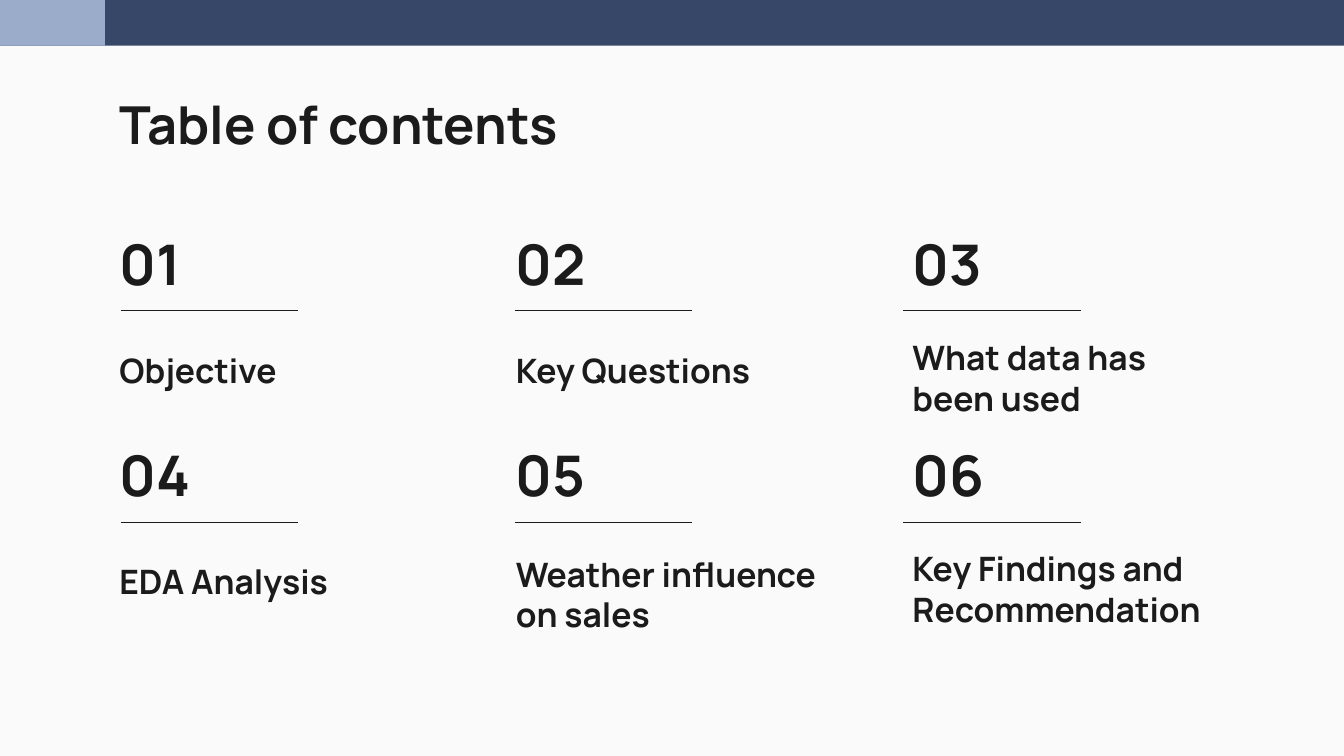
from lxml.etree import SubElement
from pptx import Presentation
from pptx.dml.color import RGBColor
from pptx.enum.shapes import MSO_CONNECTOR as Connector, MSO_SHAPE as Shape
from pptx.enum.text import MSO_ANCHOR as Anchor
from pptx.oxml.ns import qn
from pptx.util import Inches, Pt

PAPER = RGBColor(0xFA, 0xFA, 0xFA)
NAVY = RGBColor(0x37, 0x47, 0x68)
SKY = RGBColor(0x9B, 0xAC, 0xCA)
INK = RGBColor(0x1B, 0x1B, 0x1B)

COLUMNS = [(0.79, 0.9), (3.74, 3.83), (6.69, 6.72)]
NUMBER_TOPS = [1.76, 3.33]
RULE_TOPS = [2.31, 3.89]
TOPICS = [
    ("Objective", 2.52, 0.49),
    ("Key Questions", 2.52, 0.49),
    ("What data has been used", 2.52, 0.7),
    ("EDA Analysis", 2.6, 0.49),
    ("Weather influence on sales", 2.52, 0.74),
    ("Key Findings and Recommendation", 2.71, 0.7),
]


def write(frame, text, size=18, color=INK, bold=True, font="Manrope"):
    span = frame.paragraphs[0].add_run()
    span.text = text
    span.font.size = Pt(size)
    span.font.name = font
    span.font.bold = bold
    span.font.color.rgb = color


class Painter:
    """Draws the elements of a contents page in one style."""

    def __init__(self, page):
        self.page = page
        page.background.fill.solid()
        page.background.fill.fore_color.rgb = PAPER

    def bar(self, width, color):
        bar = self.page.shapes.add_shape(Shape.RECTANGLE, 0, 0, Inches(width), Inches(0.34))
        bar.shadow.inherit = False
        bar.fill.solid()
        bar.fill.fore_color.rgb = color
        bar.line.fill.background()

    def text(self, text, left, top, width, height, anchor=Anchor.BOTTOM, **style):
        box = self.page.shapes.add_textbox(*map(Inches, (left, top, width, height)))
        frame = box.text_frame
        frame.word_wrap = True
        frame.vertical_anchor = anchor
        frame.margin_left = frame.margin_right = Inches(0.1)
        frame.margin_top = frame.margin_bottom = Inches(0.1)
        write(frame, text, **style)

    def rule(self, left, top, width=1.32):
        ends = map(Inches, (left, top, left + width, top))
        rule = self.page.shapes.add_connector(Connector.STRAIGHT, *ends)
        rule.line.color.rgb = INK
        rule.line.width = Pt(0.75)
        SubElement(rule._element.spPr, qn("a:effectLst"))


def main():
    deck = Presentation()
    deck.slide_width = Inches(10)
    deck.slide_height = deck.slide_width * 9 // 16
    painter = Painter(deck.slides.add_slide(deck.slide_layouts[6]))
    painter.bar(10, NAVY)
    painter.bar(0.78, SKY)
    painter.text("Table of contents", 0.79, 0.59, 8.43, 0.63, anchor=Anchor.TOP, size=28)
    for index, (topic, width, height) in enumerate(TOPICS):
        row, column = divmod(index, len(COLUMNS))
        left, rule_left = COLUMNS[column]
        top = NUMBER_TOPS[row]
        painter.text(f"{index + 1:02}", left, top, 0.8, 0.55, size=30)
        painter.rule(rule_left, RULE_TOPS[row])
        painter.text(topic, left, top + 0.75, width, height)
    deck.save("out.pptx")


if __name__ == "__main__":
    main()
